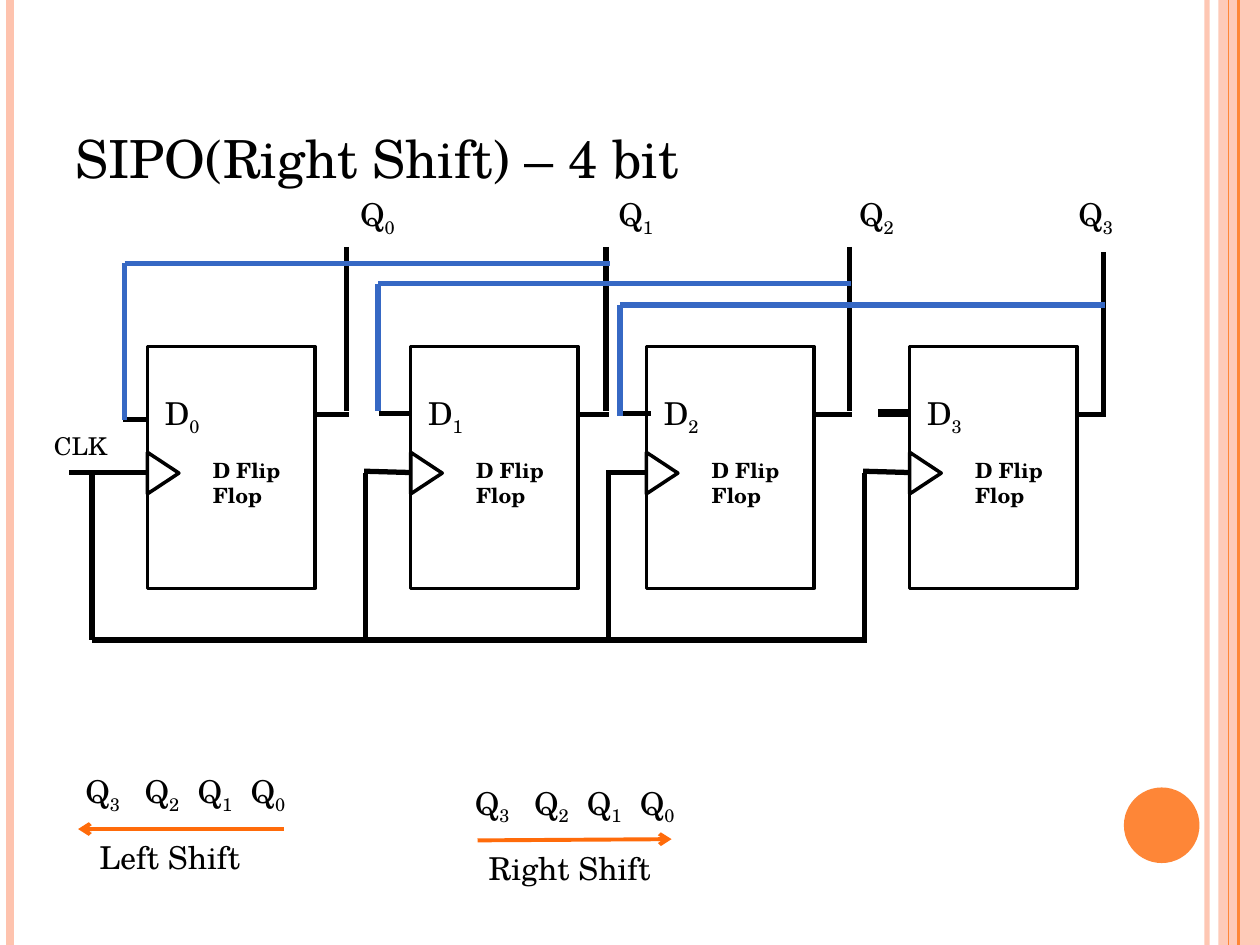
"""Draw a four-bit SIPO shift register with its shift directions."""
from dataclasses import dataclass
from typing import NamedTuple

from lxml.etree import SubElement
from pptx import Presentation
from pptx.dml.color import RGBColor as Color
from pptx.enum.shapes import MSO_CONNECTOR as Link, MSO_SHAPE as Kind
from pptx.enum.text import MSO_ANCHOR as Anchor, MSO_AUTO_SIZE as Fit
from pptx.oxml.ns import qn
from pptx.util import Inches, Pt


@dataclass(frozen=True)
class Theme:
    font: str = "TeX Gyre Schola"
    ink: str = "000000"
    loop: str = "3668C4"
    arrow: str = "FF6B0A"
    pale: str = "FEC3AE"
    accent: str = "FE8637"
    title: int = 30
    body: int = 18
    clock: int = 14
    small: int = 12
    wire: float = 3
    edge: float = 2


class Box(NamedTuple):
    left: float
    top: float
    width: float
    height: float


class Wire(NamedTuple):
    x1: float
    y1: float
    x2: float
    y2: float
    width: float = 3


class Stripe(NamedTuple):
    x: float
    color: str
    width: float
    alpha: int = 100


class Flop(NamedTuple):
    left: float
    out: float
    top: float
    label: float
    stub: Wire
    feed: Wire


class Shift(NamedTuple):
    left: float
    top: float
    name: str
    indent: float
    arrow: Wire


look = Theme()
deck = Presentation()
deck.slide_width, deck.slide_height = Inches(10), Inches(7.5)
slide = deck.slides.add_slide(deck.slide_layouts[6])
shapes = slide.shapes


def fade(fill, alpha: int) -> None:
    """Set the opacity of a solid fill in percent."""
    tone = fill._xPr.find(qn("a:solidFill"))[0]
    SubElement(tone, qn("a:alpha")).set("val", str(alpha * 1000))


def draw_wire(wire: Wire, color: str = look.ink, alpha: int = 100, head: bool = False) -> None:
    """Draw one straight line, with an arrowhead at its end if asked."""
    ends = map(Inches, wire[:4])
    link = shapes.add_connector(Link.STRAIGHT, *ends)
    link.line.color.rgb = Color.from_string(color)
    link.line.width = Pt(wire.width)
    if alpha < 100:
        fade(link.line.fill, alpha)
    if head:
        SubElement(link.line._get_or_add_ln(), qn("a:tailEnd")).set("type", "arrow")
    SubElement(link._element.spPr, qn("a:effectLst"))


def draw_shape(kind: Kind, box: Box, fill: str = "", alpha: int = 100, turn: int = 0) -> None:
    """Draw a filled shape, or an outlined one when no fill is given."""
    shape = shapes.add_shape(kind, *map(Inches, box))
    shape.shadow.inherit = False
    shape.rotation = turn
    if fill:
        shape.fill.solid()
        shape.fill.fore_color.rgb = Color.from_string(fill)
        shape.line.fill.background()
        if alpha < 100:
            fade(shape.fill, alpha)
    else:
        shape.fill.background()
        shape.line.color.rgb = Color.from_string(look.ink)
        shape.line.width = Pt(look.edge)


def draw_text(box: Box, text: str, size: int = look.body, sub: str = "",
              bold: bool = False, anchor: Anchor = Anchor.TOP) -> None:
    """Place a text box, with an optional subscript after the text."""
    frame = shapes.add_textbox(*map(Inches, box)).text_frame
    frame.word_wrap = True
    frame.vertical_anchor = anchor
    frame.auto_size = Fit.SHAPE_TO_FIT_TEXT if anchor == Anchor.TOP else Fit.NONE
    frame.text = text
    line = frame.paragraphs[0]
    if sub:
        low = line.add_run()
        low.text = sub
        low._r.get_or_add_rPr().set("baseline", "-25000")
    for run in line.runs:
        run.font.name = look.font
        run.font.size = Pt(size)
        run.font.bold = bold
        run.font.color.rgb = Color.from_string(look.ink)


def draw_flop(flop: Flop, bit: int) -> None:
    """Draw one flip-flop with its pins, labels and output."""
    left = flop.left
    draw_shape(Kind.RECTANGLE, Box(left, 2.75, 1.33, 1.92))
    draw_shape(Kind.ISOSCELES_TRIANGLE, Box(left - 0.04, 3.63, 0.33, 0.25), turn=90)
    draw_wire(flop.feed)
    draw_wire(flop.stub)
    draw_wire(Wire(left + 1.33, 3.29, flop.out + 0.02, 3.29))
    draw_wire(Wire(flop.out, flop.top, flop.out, flop.top + 1.3))
    draw_text(Box(left + 0.04, 3.08, 0.63, 0.4), "D", sub=str(bit))
    draw_text(Box(left + 0.42, 3.58, 0.92, 0.5), "D Flip Flop", look.small, bold=True)
    draw_text(Box(flop.label, 1.5, 0.62, 0.4), "Q", sub=str(bit))


def draw_shift(shift: Shift) -> None:
    """Draw the output order with its arrow and caption."""
    for bit, gap in zip((3, 2, 1, 0), (0, 0.47, 0.89, 1.31)):
        draw_text(Box(shift.left + gap, shift.top, 0.62, 0.4), "Q", sub=str(bit))
    draw_wire(shift.arrow, look.arrow, head=True)
    caption = Box(shift.left + shift.indent, shift.top + 0.52, 1.9, 0.4)
    draw_text(caption, shift.name)


def main() -> None:
    """Build the slide and save it."""
    stripes = (
        Stripe(9.58, look.pale, 3, 93),
        Stripe(0.08, look.pale, 4.5),
        Stripe(9.83, look.accent, 1.5),
        Stripe(9.75, look.accent, 0.75),
    )
    flops = (
        Flop(1.17, 2.75, 1.96, 2.76, Wire(0.98, 3.33, 1.16, 3.33), Wire(0.55, 3.75, 1.17, 3.75)),
        Flop(3.26, 4.81, 1.96, 4.81, Wire(3.01, 3.28, 3.26, 3.28), Wire(2.89, 3.74, 3.25, 3.75)),
        Flop(5.13, 6.74, 1.96, 6.72, Wire(4.92, 3.28, 5.17, 3.28), Wire(4.81, 3.75, 5.13, 3.75)),
        Flop(7.22, 8.76, 2, 8.46, Wire(6.97, 3.28, 7.22, 3.28, 4.5), Wire(6.85, 3.74, 7.21, 3.75)),
    )
    drops = (0.73, 2.9, 4.83, 6.86)
    loops = (
        Wire(0.99, 2.09, 4.84, 3.33),
        Wire(3, 2.25, 6.75, 3.26),
        Wire(4.92, 2.42, 8.77, 3.3),
    )
    shifts = (
        Shift(0.58, 6.08, "Left Shift", 0.11, Wire(2.25, 6.58, 0.62, 6.58, 2.25)),
        Shift(3.67, 6.17, "Right Shift", 0.11, Wire(3.79, 6.67, 5.33, 6.66, 2.25)),
    )

    draw_shape(Kind.RECTANGLE, Box(9.67, 0, 0.33, 7.5), look.pale, 87)
    for stripe in stripes:
        draw_wire(Wire(stripe.x, 0, stripe.x, 7.5, stripe.width), stripe.color, stripe.alpha)
    draw_shape(Kind.OVAL, Box(8.92, 6.25, 0.6, 0.6), look.accent)
    draw_text(Box(0.5, 0.3, 8.17, 1.25), "SIPO(Right Shift) – 4 bit", look.title,
              anchor=Anchor.BOTTOM)
    draw_text(Box(0.33, 3.37, 0.77, 0.34), "CLK", look.clock)
    for bit, flop in enumerate(flops):
        draw_flop(flop, bit)
    for x in drops:
        draw_wire(Wire(x, 3.75, x, 5.08, look.wire))
    for start, end in zip(drops, drops[1:]):
        draw_wire(Wire(start, 5.08, end + 0.02, 5.08, look.wire))
    for shift in shifts:
        draw_shift(shift)
    for loop in loops:
        draw_wire(Wire(loop.x1, loop.y1, loop.x2, loop.y1, look.wire), look.loop)
        draw_wire(Wire(loop.x1, loop.y1, loop.x1, loop.y2, look.wire), look.loop)
    deck.save("out.pptx")


if __name__ == "__main__":
    main()
